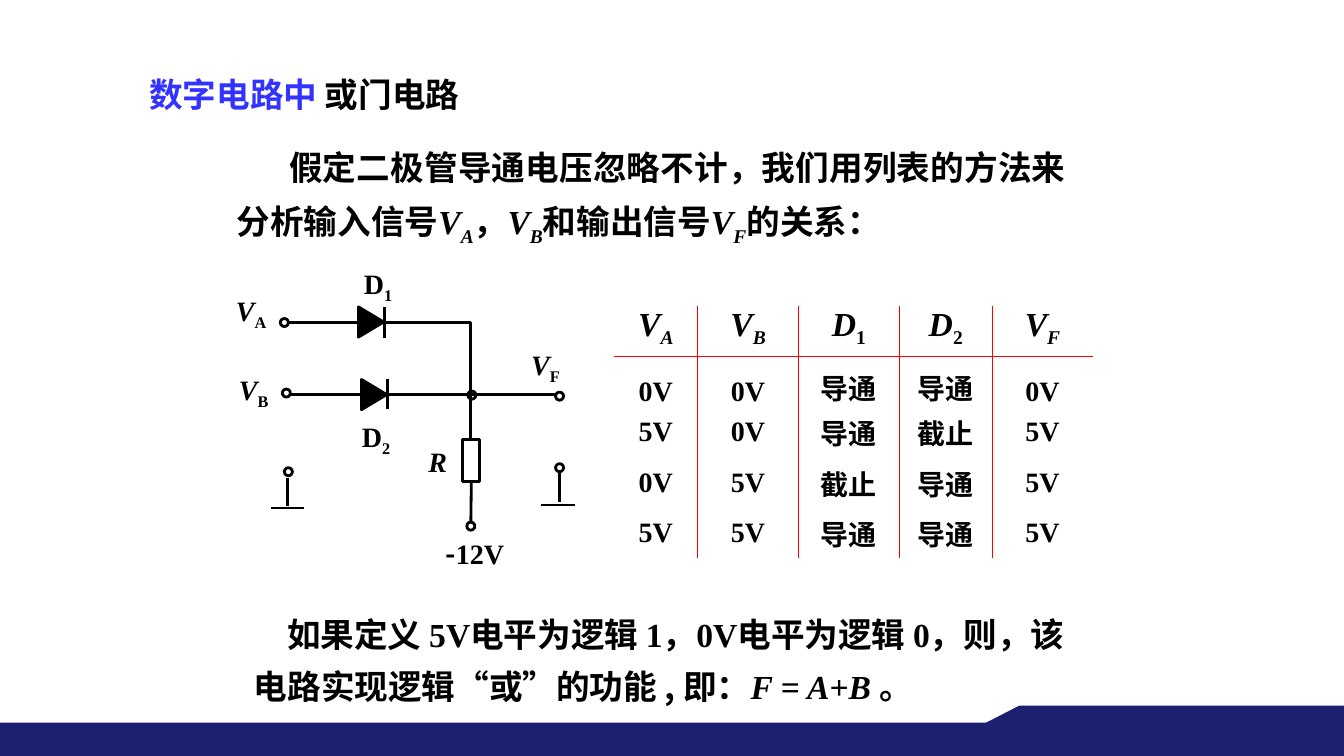
from lxml import etree
from pptx import Presentation
from pptx import util as u
from pptx.dml.color import RGBColor
from pptx.enum import shapes, text
from pptx.oxml.ns import qn
from pptx.util import Inches

SERIF, SANS = "Times New Roman", "Noto Sans CJK SC"
BLACK, NAVY, BLUE, RED, WHITE = "000000", "1D1F6F", "3333FF", "FF0000", "FFFFFF"


def paint(shape, fill=None, line=None):
    """Fill and outline a shape; None leaves that part empty."""
    shape.shadow.inherit = False
    if fill:
        shape.fill.solid()
        shape.fill.fore_color.rgb = RGBColor.from_string(fill)
    else:
        shape.fill.background()
    if line:
        shape.line.color.rgb = RGBColor.from_string(line)
        shape.line.width = u.Pt(2)
    else:
        shape.line.fill.background()


def write(paragraph, runs, size):
    """Add (words, marks) runs: i italic, s subscript, n sans, b blue."""
    for words, marks in runs:
        run = paragraph.add_run()
        run.text = words
        run.font.size = u.Pt(size)
        run.font.bold = True
        run.font.italic = "i" in marks
        run.font.name = SANS if "n" in marks else SERIF
        run.font.color.rgb = RGBColor.from_string(BLUE if "b" in marks else BLACK)
        props = run._r.get_or_add_rPr()
        etree.SubElement(props, qn("a:ea")).set("typeface", SANS)
        if "s" in marks:
            props.set("baseline", "-25000")


prs = Presentation()
prs.slide_width, prs.slide_height = Inches(13.33), Inches(7.5)
slide = prs.slides.add_slide(prs.slide_layouts[5])
items = slide.shapes

# Footer band
band = items.add_shape(shapes.MSO_SHAPE.RECTANGLE, 0, Inches(7.17), Inches(13.33), Inches(0.33))
paint(band, NAVY)
outline = items.build_freeform(Inches(9.78), Inches(7.17))
outline.add_line_segments([(Inches(x), Inches(y)) for x, y in
                           ((10.11, 7), (13.33, 7), (13.33, 7.25), (9.78, 7.25))])
paint(outline.convert_to_shape(), NAVY)

# Title
title = items.title
title.left, title.top, title.width, title.height = map(Inches, (1.38, 0.68, 3.38, 0.5))
title.text_frame.vertical_anchor = text.MSO_ANCHOR.TOP
title.text_frame.auto_size = text.MSO_AUTO_SIZE.NONE
heading = title.text_frame.paragraphs[0]
heading.alignment = text.PP_ALIGN.LEFT
write(heading, [("数字电路中 ", "b"), ("或门电路", "")], 24)

# Assumption and conclusion
assumption = [
    ("假定二极管导通电压忽略不计，我们用列表的方法来分析输入信号", ""),
    ("V", "i"), ("A", "is"), ("，", ""), ("V", "i"), ("B", "is"),
    ("和输出信号", ""), ("V", "i"), ("F", "is"), ("的关系：", "")]
conclusion = [
    ("如果定义 5V电平为逻辑 1，0V电平为逻辑 0", ""),
    ("，则，该电路实现逻辑“或”的功能 , 即：", "n"),
    ("F = A+B ", "i"), ("。", "")]
for left, top, width, indent, align, runs in (
        (2.25, 1.29, 8.42, 0.52, text.PP_ALIGN.JUSTIFY, assumption),
        (2.42, 5.92, 8.5, 0.33, text.PP_ALIGN.LEFT, conclusion)):
    box = items.add_textbox(Inches(left), Inches(top), Inches(width), Inches(1.15))
    box.text_frame.word_wrap = True
    statement = box.text_frame.paragraphs[0]
    statement.alignment = align
    statement.line_spacing = 1.3
    statement._p.get_or_add_pPr().set("indent", str(Inches(indent)))
    write(statement, runs, 24)

# Truth table
headers = [("V", "A", "is"), ("V", "B", "is"), ("D", "1", "s"), ("D", "2", "s"), ("V", "F", "is")]
states = [
    ("0V", "0V", "导通", "导通", "0V"),
    ("5V", "0V", "导通", "截止", "5V"),
    ("0V", "5V", "截止", "导通", "5V"),
    ("5V", "5V", "导通", "导通", "5V")]
rows = [[[(name, "i"), (sub, marks)] for name, sub, marks in headers]]
rows += [[[(value, "")] for value in state] for state in states]
truth = items.add_table(5, 5, Inches(6.09), Inches(3.04), Inches(4.75), Inches(2.5)).table
truth.first_row = truth.horz_banding = False
for column, width in zip(truth.columns, (0.83, 1, 1, 0.92, 1)):
    column.width = Inches(width)
for r, row in enumerate(rows):
    truth.rows[r].height = Inches(0.5)
    for c, runs in enumerate(row):
        cell = truth.cell(r, c)
        cell.margin_left = cell.margin_right = cell.margin_top = cell.margin_bottom = 0
        cell.vertical_anchor = {0: text.MSO_ANCHOR.TOP, 1: text.MSO_ANCHOR.BOTTOM}.get(
            r, text.MSO_ANCHOR.MIDDLE)
        # Red rules between columns and under the header only
        ruled = {"lnL": c > 0, "lnR": c < 4, "lnT": r == 1, "lnB": r == 0}
        for side, shown in ruled.items():
            border = etree.SubElement(cell._tc.get_or_add_tcPr(), qn("a:" + side), w="12700")
            paint_kind = etree.SubElement(border, qn("a:solidFill" if shown else "a:noFill"))
            if shown:
                etree.SubElement(paint_kind, qn("a:srgbClr"), val=RED)
        cell.fill.background()
        entry = cell.text_frame.paragraphs[0]
        entry.alignment = text.PP_ALIGN.CENTER
        write(entry, runs, 20 if r else 24)

# Circuit: junction, terminals and resistor
junction, *terminals = [
    items.add_shape(shapes.MSO_SHAPE.OVAL, Inches(x), Inches(y), Inches(0.08), Inches(0.08))
    for x, y in ((4.64, 3.88), (2.78, 3.16), (2.8, 3.86), (5.51, 3.89),
                 (2.82, 4.64), (5.51, 4.6), (4.63, 5.18))]
paint(junction, WHITE, BLACK)
for terminal in terminals:
    paint(terminal, None, BLACK)
supply = terminals[-1]
resistor = items.add_shape(shapes.MSO_SHAPE.RECTANGLE, Inches(4.59), Inches(4.36),
                           Inches(0.17), Inches(0.42))
paint(resistor, WHITE, BLACK)

# Circuit: wires, diode bars and ground leads
corner = items.build_freeform(Inches(4.01), Inches(3.2))
corner.add_line_segments([(Inches(4.67), Inches(y)) for y in (3.2, 4.36)], close=False)
paint(corner.convert_to_shape(), None, BLACK)
wires = [
    (2.87, 3.2, 4.01, 3.2), (2.88, 3.91, 5.51, 3.91),
    (3.81, 3.05, 3.81, 3.35), (3.84, 3.76, 3.84, 4.06),
    (2.85, 4.74, 2.85, 5.02), (2.69, 5.04, 3.02, 5.04),
    (5.55, 4.69, 5.55, 4.98), (5.37, 5.01, 5.7, 5.01),
    (4.67, 4.78, 4.67, 5.18)]
for ends in wires:
    wire = items.add_connector(shapes.MSO_CONNECTOR.STRAIGHT, *map(Inches, ends))
    wire.line.color.rgb = RGBColor.from_string(BLACK)
    wire.line.width = u.Pt(2)
    etree.SubElement(wire._element.spPr, qn("a:effectLst"))
# The last wire runs from the resistor to the supply
wire.begin_connect(resistor, 2)
wire.end_connect(supply, 0)

# Circuit: diodes
for left, top in ((3.53, 3.07), (3.56, 3.79)):
    diode = items.add_shape(shapes.MSO_SHAPE.ISOSCELES_TRIANGLE, Inches(left), Inches(top),
                            Inches(0.3), Inches(0.25))
    diode.rotation = 90
    paint(diode, BLACK, BLACK)

# Circuit: labels
for left, top, width, runs in (
        (3.51, 2.59, 0.5, [("D", ""), ("1", "s")]),
        (3.49, 4.11, 0.5, [("D", ""), ("2", "s")]),
        (4.15, 4.36, 0.39, [("R", "i")]),
        (4.32, 5.27, 0.82, [("-", "n"), ("12V", "")]),
        (2.24, 2.86, 0.52, [("V", "i"), ("A", "s")]),
        (2.27, 3.65, 0.51, [("V", "i"), ("B", "s")]),
        (5.17, 3.4, 0.5, [("V", "i"), ("F", "s")])):
    label = items.add_textbox(Inches(left), Inches(top), Inches(width), Inches(0.44))
    label.text_frame.word_wrap = False
    write(label.text_frame.paragraphs[0], runs, 20)

prs.save("out.pptx")
